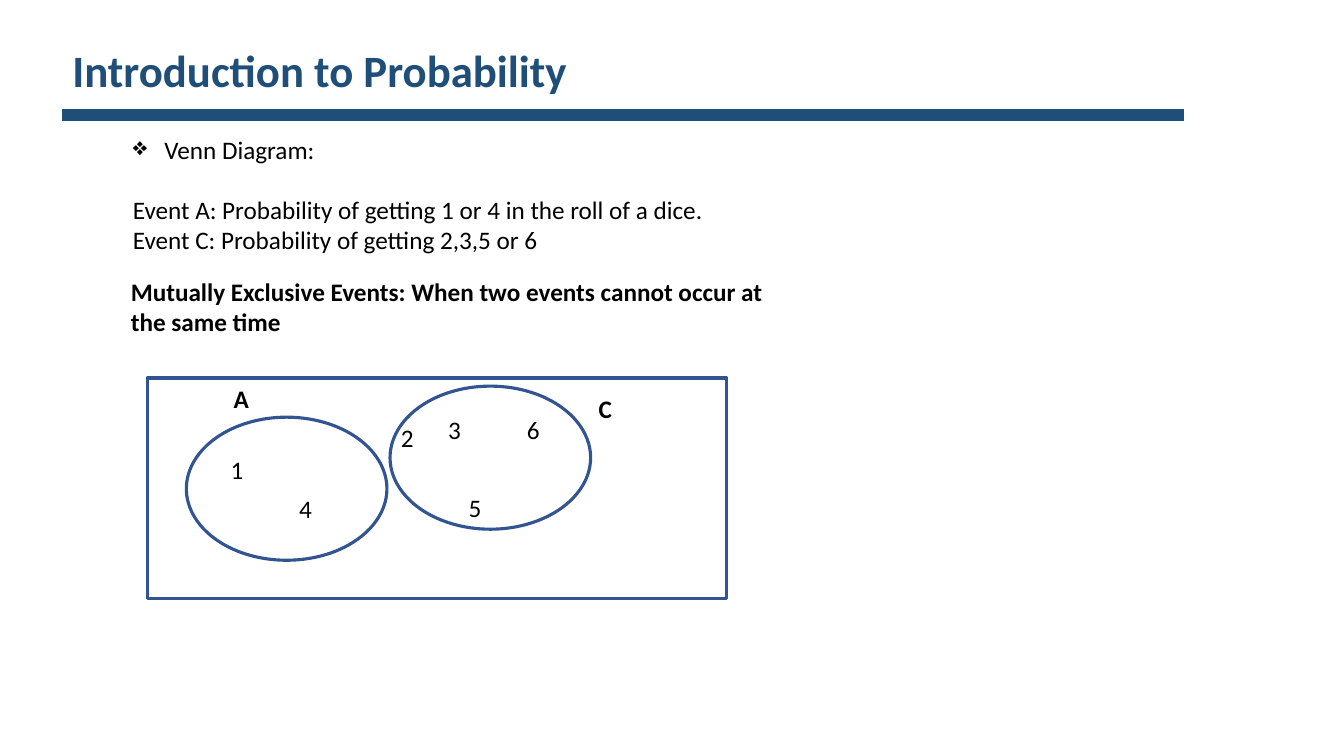
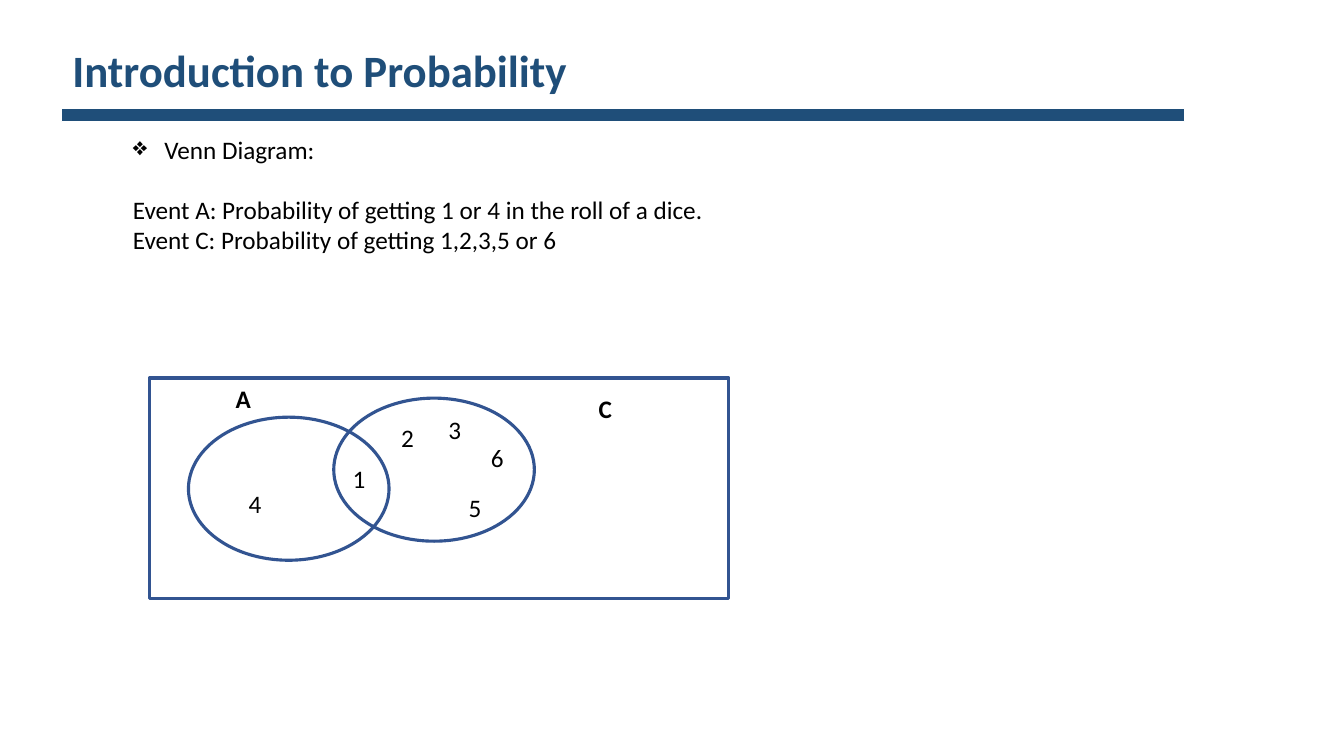
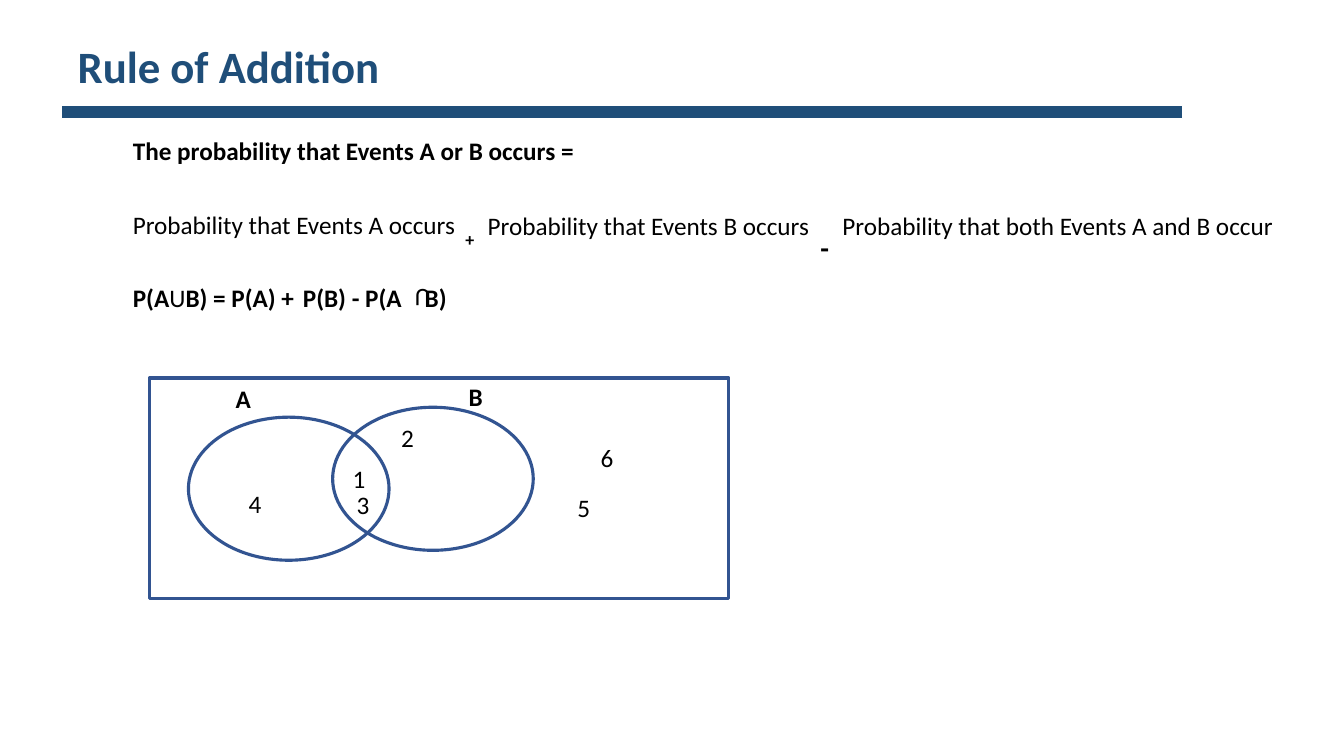
from lxml.etree import SubElement
from pptx import Presentation
from pptx.dml.color import RGBColor
from pptx.enum.shapes import MSO_SHAPE as Preset
from pptx.enum.text import MSO_ANCHOR as Anchor, MSO_AUTO_SIZE as AutoSize, PP_ALIGN as Align
from pptx.oxml.ns import qn
from pptx.util import Pt

BLACK = RGBColor(0x00, 0x00, 0x00)
WHITE = RGBColor(0xFF, 0xFF, 0xFF)
NAVY = RGBColor(0x1F, 0x4E, 0x79)
OUTLINE = RGBColor(0x32, 0x54, 0x91)
FONT = "Calibri"
TITLE_ONLY = 5
TEXT_LEFT = 87.8
FRAME_TOP, FRAME_WIDTH, FRAME_HEIGHT = 270, 414, 157.7
CIRCLE_WIDTH, CIRCLE_HEIGHT = 143.3, 102.2
CIRCLE_A = (28, 28)
SYMBOL_WIDTH, SYMBOL_HEIGHT = 30, 29


def write_run(paragraph, text, size=18, bold=False, color=BLACK, baseline=None):
    """Append one formatted run to a paragraph."""
    run = paragraph.add_run()
    run.text = text
    run.font.name = FONT
    run.font.size = Pt(size)
    run.font.bold = bold
    run.font.color.rgb = color
    if baseline is not None:
        run.font._element.set("baseline", str(baseline * 1000))


def add_box(slide, left, top, width, height):
    """Add an empty wrapping text box and return it."""
    box = slide.shapes.add_textbox(Pt(left), Pt(top), Pt(width), Pt(height))
    box.text_frame.word_wrap = True
    return box


def add_text(slide, left, top, width, height, *lines, **text_format):
    """Add a text box with one paragraph for each line."""
    box = add_box(slide, left, top, width, height)
    for index, line in enumerate(lines):
        frame = box.text_frame
        paragraph = frame.add_paragraph() if index else frame.paragraphs[0]
        write_run(paragraph, line, **text_format)
    return box


def add_preset(slide, preset, left, top, width, height, fill=None, line=OUTLINE, weight=2.25):
    """Add a preset shape without shadow, filled or outlined only."""
    shape = slide.shapes.add_shape(preset, Pt(left), Pt(top), Pt(width), Pt(height))
    shape.shadow.inherit = False
    if fill is None:
        shape.fill.background()
    else:
        shape.fill.solid()
        shape.fill.fore_color.rgb = fill
    shape.line.color.rgb = line
    shape.line.width = Pt(weight)


def add_titled_slide(presentation, title, left, top, band_width):
    """Add a slide with its title and the band below it."""
    slide = presentation.slides.add_slide(presentation.slide_layouts[TITLE_ONLY])
    shape = slide.shapes.title
    shape.left, shape.top, shape.width, shape.height = Pt(left), Pt(top), Pt(480), Pt(48)
    frame = shape.text_frame
    frame.word_wrap = True
    frame.auto_size = AutoSize.NONE
    frame.vertical_anchor = Anchor.TOP
    frame.margin_left = frame.margin_right = Pt(9.4)
    frame.margin_top = frame.margin_bottom = Pt(5)
    frame.paragraphs[0].alignment = Align.LEFT
    write_run(frame.paragraphs[0], title, size=32, bold=True, color=NAVY)
    add_preset(slide, Preset.RECTANGLE, 44, top + 52.4, band_width, 9.4,
               fill=NAVY, line=WHITE, weight=1)
    return slide


def add_venn(slide, left, second_circle, labels, outcomes):
    """Draw the sample space with two events, placed from its top left corner."""
    add_preset(slide, Preset.RECTANGLE, left, FRAME_TOP, FRAME_WIDTH, FRAME_HEIGHT)
    for x, y in (CIRCLE_A, second_circle):
        add_preset(slide, Preset.OVAL, left + x, FRAME_TOP + y, CIRCLE_WIDTH, CIRCLE_HEIGHT)
    for symbols, bold in ((labels, True), (outcomes, False)):
        for symbol, (x, y) in symbols.items():
            add_text(slide, left + x, FRAME_TOP + y, SYMBOL_WIDTH, SYMBOL_HEIGHT,
                     symbol, bold=bold)


def add_events_slide(presentation, event_c, left, second_circle, outcomes):
    """Build a slide that describes events A and C and draws them."""
    slide = add_titled_slide(presentation, "Introduction to Probability", 42.3, 25.2, 802)
    heading = add_box(slide, TEXT_LEFT, 92.2, 362, 29)
    paragraph = heading.text_frame.paragraphs[0]
    properties = paragraph._p.get_or_add_pPr()
    properties.set("marL", str(Pt(22.5)))
    properties.set("indent", str(-Pt(22.5)))
    SubElement(properties, qn("a:buChar")).set("char", "❖")
    write_run(paragraph, "Venn Diagram:")
    add_text(slide, TEXT_LEFT, 135.4, 471, 51,
             "Event A: Probability of getting 1 or 4 in the roll of a dice.", event_c)
    add_venn(slide, left, second_circle, {"A": (54.7, 0), "C": (420.5 - left, 7.2)}, outcomes)
    return slide


def add_formula(slide, left, top):
    """Write the rule of addition with its union and intersection signs."""
    box = add_box(slide, left, top, 362, 29)
    paragraph = box.text_frame.paragraphs[0]
    tabs = SubElement(paragraph._p.get_or_add_pPr(), qn("a:tabLst"))
    for position in (121.5, 208.5):
        tab = SubElement(tabs, qn("a:tab"))
        tab.set("pos", str(Pt(position)))
        tab.set("algn", "l")
    write_run(paragraph, "P(A", bold=True)
    write_run(paragraph, "U")
    write_run(paragraph, "B) = P(A) +\tP(B) - P(A\tB)", bold=True)
    add_text(slide, left + 206, top + 0.7, 21, 29.5, "U").rotation = 180


def add_addition_slide(presentation):
    """Build the slide on the rule of addition."""
    slide = add_titled_slide(presentation, "Rule of Addition", 46, 23, 800.6)
    add_text(slide, TEXT_LEFT, 92.9, 362, 29,
             "The probability that Events A or B occurs =", bold=True)
    add_text(slide, TEXT_LEFT, 146.2, 268, 29, "Probability that Events A occurs")
    add_text(slide, 325.4, 144.7, 47.5, 25, "+", size=22, bold=True, baseline=-25)
    add_text(slide, 341.3, 146.9, 268, 29, "Probability that Events B occurs")
    add_text(slide, 578.9, 137.5, 31.7, 35, "-", size=35, bold=True, baseline=-25)
    add_text(slide, 594.7, 146.9, 338.4, 29, "Probability that both Events A and B occur")
    add_formula(slide, TEXT_LEFT, 198)
    add_venn(slide, 106.6, (131, 20.9), {"A": (54.7, 0), "B": (221, -1.4)},
             {"1": (138.2, 57.6), "2": (172.8, 28), "3": (141.1, 75.6),
              "4": (64, 75), "5": (298.8, 77.8), "6": (315.4, 42.5)})


def main():
    """Build and save the presentation."""
    presentation = Presentation()
    presentation.slide_width, presentation.slide_height = Pt(960), Pt(540)
    exclusive = add_events_slide(
        presentation, "Event C: Probability of getting 2,3,5 or 6", 105.1, (173.5, 5.8),
        {"1": (52.6, 51), "2": (174.2, 28), "3": (208, 22.3),
         "4": (101.5, 78.5), "5": (222.5, 77.8), "6": (264.2, 22.3)})
    add_text(exclusive, 86.4, 193.7, 471, 51,
             "Mutually Exclusive Events: When two events cannot occur at the same time", bold=True)
    add_events_slide(
        presentation, "Event C: Probability of getting 1,2,3,5 or 6", 106.6, (131.8, 14.4),
        {"1": (138.2, 57.6), "2": (172.8, 28), "3": (206.6, 22.3),
         "4": (64, 75), "5": (221, 77.8), "6": (236.9, 42.5)})
    add_addition_slide(presentation)
    presentation.save("out.pptx")


if __name__ == "__main__":
    main()
